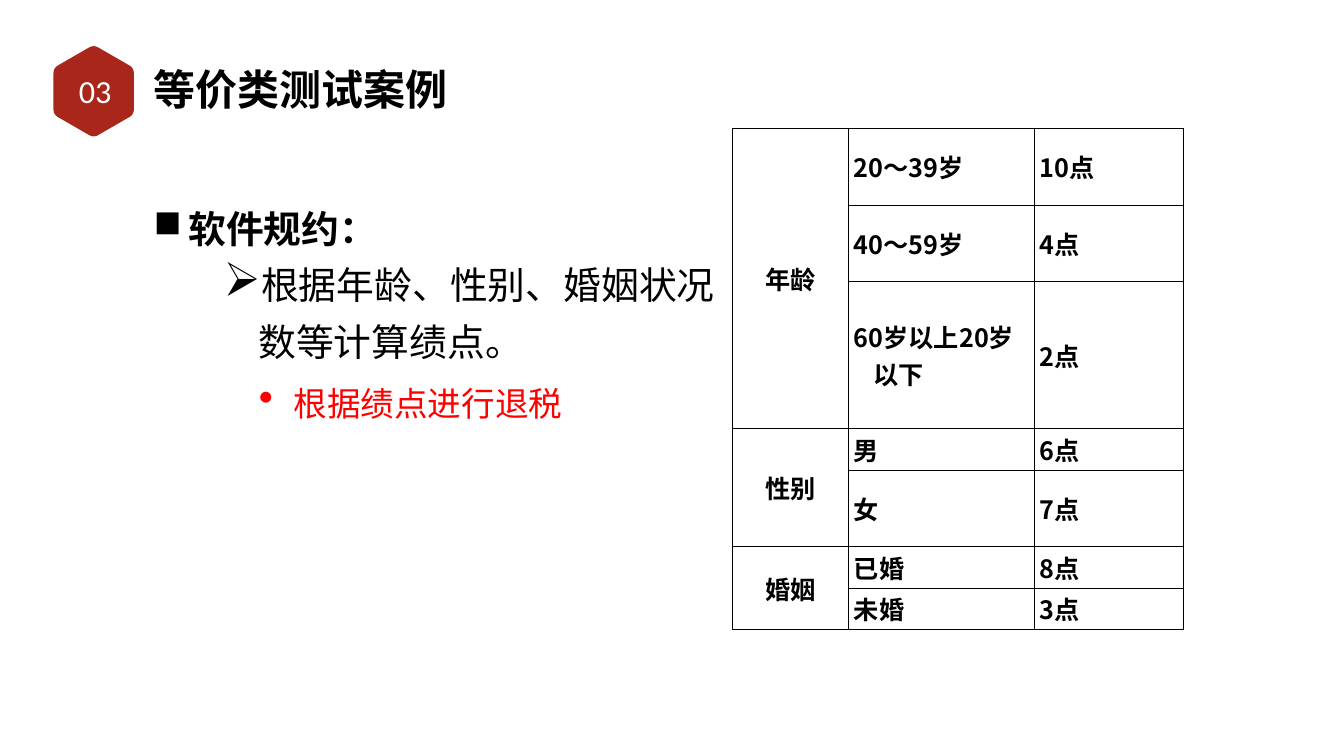
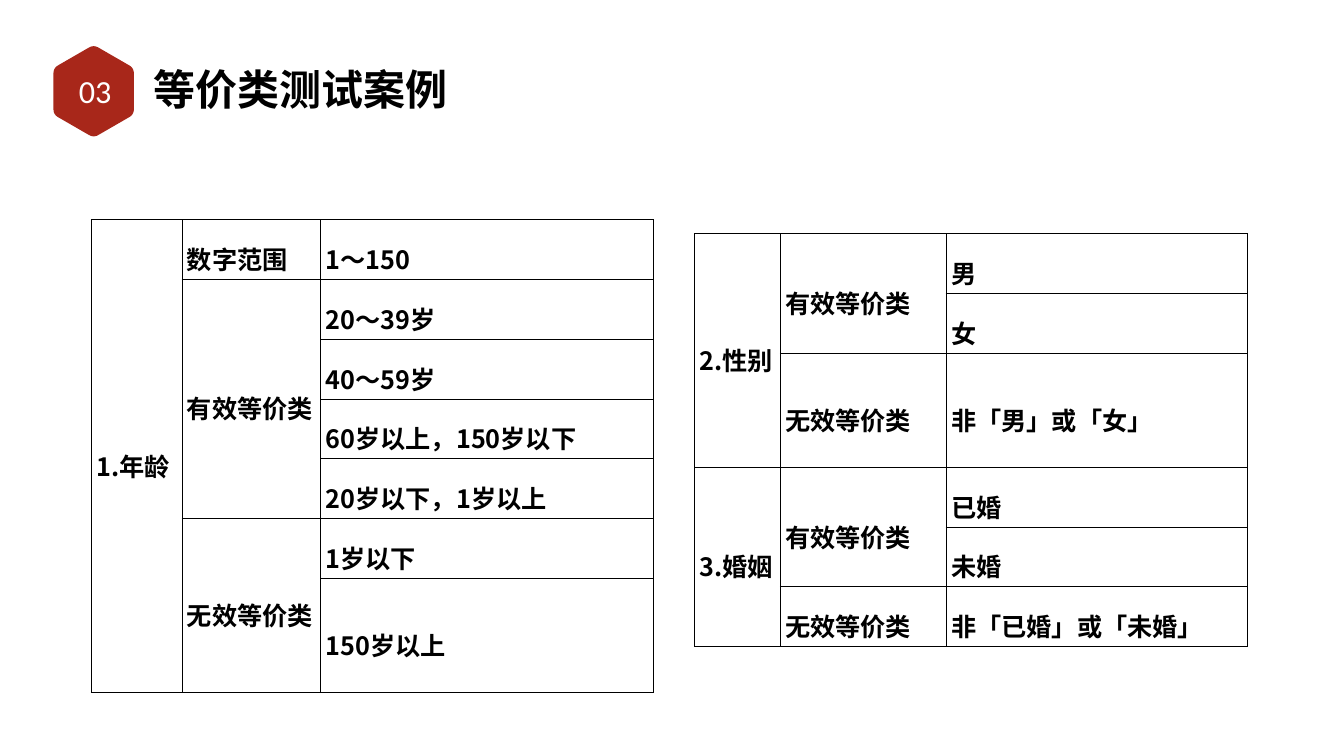
from dataclasses import dataclass
from math import cos, radians, sin
from typing import Any, Optional

from lxml.etree import SubElement
from pptx import Presentation
from pptx.dml.color import RGBColor
from pptx.enum.text import MSO_ANCHOR, MSO_AUTO_SIZE, PP_ALIGN
from pptx.oxml.ns import qn
from pptx.util import Cm, Pt

COLOURS = {"badge": "A8271A", "ink": "000000", "alert": "FF0000", "paper": "FFFFFF"}
CJK = "Noto Sans CJK SC"
FONTS = {
    "title": {"name": CJK, "size": Pt(60), "bold": True},
    "badge": {"name": "Calibri", "size": Pt(46), "bold": False},
    "heading": {"name": CJK, "size": Pt(54), "bold": True},
    "body": {"name": CJK, "size": Pt(54), "bold": False},
    "detail": {"name": CJK, "size": Pt(48), "bold": False},
    "cell": {"name": CJK, "size": Pt(36), "bold": True},
}
FRAME = {
    "word_wrap": True,
    "auto_size": MSO_AUTO_SIZE.NONE,
    "vertical_anchor": MSO_ANCHOR.MIDDLE,
    "margin_left": Cm(0.15),
    "margin_right": Cm(0.15),
    "margin_top": Cm(0.15),
    "margin_bottom": Cm(0.15),
}
TITLE = "等价类测试案例"
SECTION = "03"
LINE_ROW, TWO_LINE_ROW = 3.01, 5.77


@dataclass(frozen=True)
class Box:
    left: float
    top: float
    width: float
    height: float

    def lengths(self) -> tuple:
        return Cm(self.left), Cm(self.top), Cm(self.width), Cm(self.height)


@dataclass(frozen=True)
class Point:
    text: str
    font: str
    level: int
    indent: float
    bullet: str
    spacing: float
    bullet_size: int = 100
    before: int = 0
    colour: str = "ink"


@dataclass(frozen=True)
class Grid:
    """A table; None in a row continues the cell above it."""
    left: float
    top: float
    widths: list[float]
    heights: list[float]
    rows: list[list[Optional[str]]]
    spacing: float = 1.0
    hanging: float = 0
    centre_first: bool = False


TITLE_BOX = Box(7.59, 3.0, 15.29, 2.9)
BADGE_BOX = Box(2.59, 3.23, 4.42, 2.67)
RULES_BOX = Box(7.59, 7.26, 30.23, 19.08)
RULES = [
    Point("软件规约：", "heading", 0, 1.75, "■", 1.67),
    Point("根据年龄、性别、婚姻状况数等计算绩点。", "body", 1, 5.28, "➢", 1.25, 125),
    Point("根据绩点进行退税", "detail", 2, 7.06, "•", 1.25, 125, 12, "alert"),
]
SCORES = Grid(
    36.91, 6.48, [5.87, 9.37, 7.49], [3.86, 3.86, 7.39, 2.09, 3.86, 2.09, 2.09],
    [
        ["年龄", "20～39岁", "10点"],
        [None, "40～59岁", "4点"],
        [None, "60岁以上20岁以下", "2点"],
        ["性别", "男", "6点"],
        [None, "女", "7点"],
        ["婚姻", "已婚", "8点"],
        [None, "未婚", "3点"],
    ],
    hanging=0.97, centre_first=True,
)
AGE_CLASSES = Grid(
    4.6, 11.07, [4.57, 6.99, 16.76], [LINE_ROW] * 6 + [TWO_LINE_ROW],
    [
        ["1.年龄", "数字范围", "1～150"],
        [None, "有效等价类", "20～39岁"],
        [None, None, "40～59岁"],
        [None, None, "60岁以上，150岁以下"],
        [None, None, "20岁以下，1岁以上"],
        [None, "无效等价类", "1岁以下"],
        [None, None, "150岁以上"],
    ],
    spacing=1.5,
)
STATUS_CLASSES = Grid(
    35.0, 11.76, [4.32, 8.36, 15.21], [LINE_ROW] * 2 + [TWO_LINE_ROW] + [LINE_ROW] * 3,
    [
        ["2.性别", "有效等价类", "男"],
        [None, None, "女"],
        [None, "无效等价类", "非「男」或「女」"],
        ["3.婚姻", "有效等价类", "已婚"],
        [None, None, "未婚"],
        [None, "无效等价类", "非「已婚」或「未婚」"],
    ],
    spacing=1.5,
)


def apply_values(target: Any, values: dict) -> None:
    for attribute, value in values.items():
        setattr(target, attribute, value)


def write(paragraph: Any, text: str, font: str, colour: str = "ink") -> None:
    run = paragraph.add_run()
    run.text = text
    apply_values(run.font, FONTS[font])
    run.font.color.rgb = RGBColor.from_string(COLOURS[colour])
    SubElement(run.font._element, qn("a:ea"), typeface=FONTS[font]["name"])


def set_indent(paragraph: Any, left: float, hanging: float) -> None:
    properties = paragraph._p.get_or_add_pPr()
    properties.set("marL", str(Cm(left)))
    properties.set("indent", str(-Cm(hanging)))


def draw_hexagon(slide: Any) -> None:
    """Draw the pointed-top section badge with its rounded corners."""
    centre_x, centre_y, radius, cut, steps = 4.72, 4.6, 2.34, 0.27, 6
    corners = [
        (centre_x + radius * sin(radians(angle)), centre_y - radius * cos(radians(angle)))
        for angle in range(0, 360, 60)
    ]
    outline = []
    for index, corner in enumerate(corners):
        before, after = corners[index - 1], corners[(index + 1) % 6]
        start, end = (
            [c + (n - c) * cut / radius for c, n in zip(corner, near)]
            for near in (before, after)
        )
        for step in range(steps + 1):
            t = step / steps
            outline.append(tuple(
                Cm((1 - t) ** 2 * s + 2 * t * (1 - t) * c + t ** 2 * e)
                for s, c, e in zip(start, corner, end)
            ))
    builder = slide.shapes.build_freeform(*outline[0])
    builder.add_line_segments(outline[1:], close=True)
    hexagon = builder.convert_to_shape()
    hexagon.shadow.inherit = False
    hexagon.fill.solid()
    hexagon.fill.fore_color.rgb = RGBColor.from_string(COLOURS["badge"])
    hexagon.line.fill.background()


def add_titled_slide(deck: Any) -> Any:
    slide = deck.slides.add_slide(deck.slide_layouts[5])
    draw_hexagon(slide)
    title = slide.shapes.title
    title.left, title.top, title.width, title.height = TITLE_BOX.lengths()
    section = slide.shapes.add_textbox(*BADGE_BOX.lengths())
    for holder, text, font, colour, alignment in (
        (title, TITLE, "title", "ink", PP_ALIGN.LEFT),
        (section, SECTION, "badge", "paper", PP_ALIGN.CENTER),
    ):
        apply_values(holder.text_frame, FRAME)
        paragraph = holder.text_frame.paragraphs[0]
        paragraph.alignment = alignment
        write(paragraph, text, font, colour)
    return slide


def add_rules(slide: Any) -> None:
    frame = slide.shapes.add_textbox(*RULES_BOX.lengths()).text_frame
    apply_values(frame, FRAME | {"margin_bottom": Cm(3.61)})
    for index, point in enumerate(RULES):
        paragraph = frame.add_paragraph() if index else frame.paragraphs[0]
        set_indent(paragraph, point.indent, 1.75)
        properties = paragraph._p.get_or_add_pPr()
        SubElement(properties, qn("a:buSzPct"), val=str(point.bullet_size * 1000))
        SubElement(properties, qn("a:buChar"), char=point.bullet)
        apply_values(paragraph, {
            "level": point.level,
            "line_spacing": point.spacing,
            "space_before": Pt(point.before),
        })
        write(paragraph, point.text, point.font, point.colour)


def border_cell(cell: Any) -> None:
    properties = cell._tc.get_or_add_tcPr()
    for side in ("lnL", "lnR", "lnT", "lnB"):
        line = SubElement(properties, qn(f"a:{side}"), w=str(Pt(1)))
        fill = SubElement(line, qn("a:solidFill"))
        SubElement(fill, qn("a:srgbClr"), val=COLOURS["ink"])


def add_grid(slide: Any, grid: Grid) -> None:
    box = Box(grid.left, grid.top, sum(grid.widths), sum(grid.heights))
    table = slide.shapes.add_table(
        len(grid.heights), len(grid.widths), *box.lengths()
    ).table
    apply_values(table, {"first_row": False, "horz_banding": False})
    for column, width in zip(table.columns, grid.widths):
        column.width = Cm(width)
    for row, height in zip(table.rows, grid.heights):
        row.height = Cm(height)
    for r, texts in enumerate(grid.rows):
        for c, text in enumerate(texts):
            cell = table.cell(r, c)
            border_cell(cell)
            cell.fill.background()
            if text is None:
                continue
            last = r
            while last + 1 < len(grid.rows) and grid.rows[last + 1][c] is None:
                last += 1
            if last > r:
                cell.merge(table.cell(last, c))
            cell.vertical_anchor = MSO_ANCHOR.MIDDLE
            paragraph = cell.text_frame.paragraphs[0]
            centred = grid.centre_first and c == 0
            apply_values(paragraph, {
                "alignment": PP_ALIGN.CENTER if centred else PP_ALIGN.LEFT,
                "line_spacing": grid.spacing,
            })
            set_indent(paragraph, grid.hanging, grid.hanging)
            write(paragraph, text, "cell")


def main() -> None:
    deck = Presentation()
    deck.slide_width, deck.slide_height = Cm(67.74), Cm(38.1)
    scoring = add_titled_slide(deck)
    add_rules(scoring)
    add_grid(scoring, SCORES)
    classes = add_titled_slide(deck)
    for grid in (AGE_CLASSES, STATUS_CLASSES):
        add_grid(classes, grid)
    deck.save("out.pptx")


if __name__ == "__main__":
    main()
